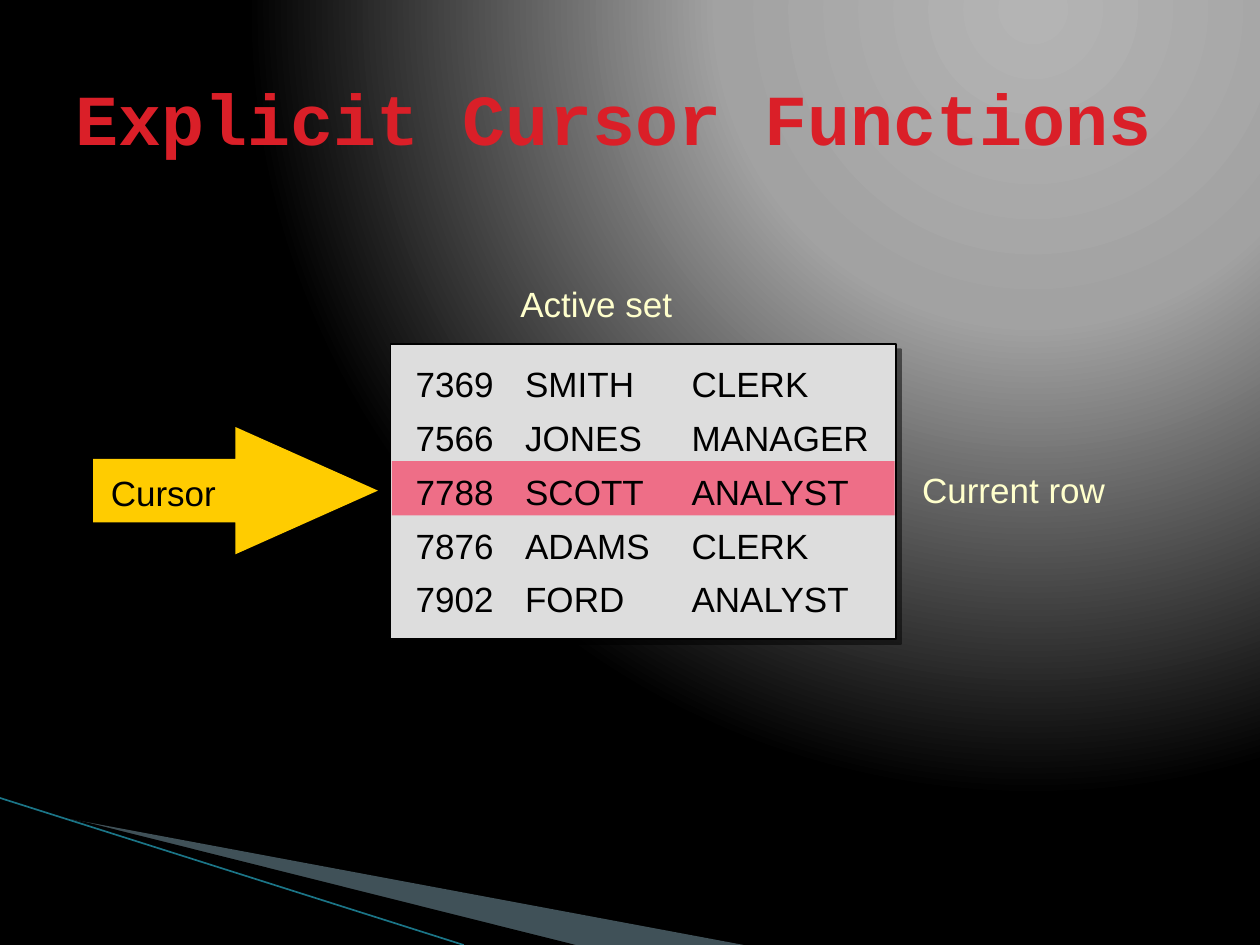
from dataclasses import dataclass

from lxml.etree import SubElement
from pptx import Presentation
from pptx.dml.color import RGBColor
from pptx.enum.shapes import MSO_CONNECTOR, MSO_SHAPE
from pptx.enum.text import MSO_ANCHOR, MSO_AUTO_SIZE, PP_ALIGN
from pptx.oxml import parse_xml
from pptx.oxml.ns import nsdecls, qn
from pptx.util import Pt

BLACK = RGBColor(0x00, 0x00, 0x00)
RED = RGBColor(0xDA, 0x1F, 0x28)
CREAM = RGBColor(0xFF, 0xFF, 0xCC)
GRAY = RGBColor(0xDD, 0xDD, 0xDD)
YELLOW = RGBColor(0xFF, 0xCC, 0x00)
CRIMSON = RGBColor(0xFF, 0x00, 0x33)
PALE_BLUE = RGBColor(0xA0, 0xCB, 0xDC)
TEAL = RGBColor(0x1B, 0x75, 0x87)

GRADIENT = ((0, "B4B4B4"), (40, "A2A2A2"), (100, "000000"))
ROWS = (
    ("7369", "SMITH", "CLERK"),
    ("7566", "JONES", "MANAGER"),
    ("7788", "SCOTT", "ANALYST"),
    ("7876", "ADAMS", "CLERK"),
    ("7902", "FORD", "ANALYST"),
)


@dataclass(frozen=True)
class Box:
    left: float
    top: float
    width: float
    height: float

    def emu(self) -> tuple:
        return Pt(self.left), Pt(self.top), Pt(self.width), Pt(self.height)


@dataclass(frozen=True)
class Label:
    box: Box
    lines: tuple
    color: RGBColor
    tabs: tuple = ()


ACTIVE_SET = Label(Box(290.2, 159.8, 147.6, 30.2), ("Active set",), CREAM)
CURRENT_ROW = Label(Box(519.8, 265.7, 147.6, 30.2), ("Current row",), CREAM)
CURSOR = Label(Box(56.2, 267.8, 85.7, 30.2), ("Cursor",), BLACK)
ROW_LIST = Label(Box(230.4, 205.2, 375, 154.8),
                 tuple("\t".join(row) for row in ROWS), BLACK, (62.6, 157.7))


def set_background(slide) -> None:
    slide.background.fill.gradient()
    grad = slide.background._cSld.find(".//" + qn("a:gradFill"))
    stops = "".join(
        f'<a:gs pos="{pos * 1000}"><a:srgbClr val="{color}"/></a:gs>'
        for pos, color in GRADIENT)
    grad.getparent().replace(grad, parse_xml(
        f'<a:gradFill {nsdecls("a")} rotWithShape="1"><a:gsLst>{stops}</a:gsLst>'
        '<a:path path="circle"><a:fillToRect l="65000" t="0" r="0" b="98000"/>'
        '</a:path></a:gradFill>'))


def set_fill(shape, color: RGBColor, alpha: int = 100) -> None:
    """Fill without outline or shadow; alpha is opacity in percent."""
    shape.shadow.inherit = False
    shape.line.fill.background()
    shape.fill.solid()
    shape.fill.fore_color.rgb = color
    if alpha < 100:
        clr = shape._element.spPr.find(".//" + qn("a:srgbClr"))
        SubElement(clr, qn("a:alpha"), val=str(alpha * 1000))


def add_drop_shadow(shape) -> None:
    effects = shape._element.spPr.find(qn("a:effectLst"))
    effects.append(parse_xml(
        f'<a:outerShdw {nsdecls("a")} dist="{Pt(4.2)}" dir="2700000" algn="ctr" '
        'rotWithShape="0"><a:srgbClr val="000000"><a:alpha val="50000"/>'
        '</a:srgbClr></a:outerShdw>'))


def add_shape(shapes, kind: MSO_SHAPE, box: Box, color: RGBColor, alpha: int = 100):
    s = shapes.add_shape(kind, *box.emu())
    set_fill(s, color, alpha)
    return s


def add_wedge(shapes, points: tuple, color: RGBColor, alpha: int = 100) -> None:
    builder = shapes.build_freeform(*points[0], scale=Pt(1))
    builder.add_line_segments(points[1:], close=True)
    set_fill(builder.convert_to_shape(), color, alpha)


def add_label(shapes, label: Label) -> None:
    tf = shapes.add_textbox(*label.box.emu()).text_frame
    tf.word_wrap = True
    for i, line in enumerate(label.lines):
        p = tf.add_paragraph() if i else tf.paragraphs[0]
        p.line_spacing = 0.95
        if i:
            p.space_before = Pt(8)
        if label.tabs:
            tab_list = SubElement(p._p.get_or_add_pPr(), qn("a:tabLst"))
            for pos in label.tabs:
                SubElement(tab_list, qn("a:tab"), pos=str(Pt(pos)), algn="l")
        r = p.add_run()
        r.text = line
        r.font.name = "Arial"
        r.font.size = Pt(20)
        r.font.color.rgb = label.color


def add_title(slide, text: str, box: Box) -> None:
    title = slide.shapes.title
    title.left, title.top, title.width, title.height = box.emu()
    tf = title.text_frame
    tf.auto_size = MSO_AUTO_SIZE.NONE
    tf.vertical_anchor = MSO_ANCHOR.MIDDLE
    p = tf.paragraphs[0]
    p.alignment = PP_ALIGN.LEFT
    r = p.add_run()
    r.text = text
    r.font.name = "Courier New"
    r.font.size = Pt(41)
    r.font.bold = True
    r.font.color.rgb = RED


def add_corner_decoration(shapes) -> None:
    add_wedge(shapes, ((39.6, 468), (425, 540), (328.3, 540)), PALE_BLUE, 40)
    add_wedge(shapes, ((38.2, 467.3), (329, 540), (267.8, 540)), BLACK)
    line = shapes.add_connector(MSO_CONNECTOR.STRAIGHT, 0, Pt(456), Pt(265), Pt(540))
    line.line.color.rgb = TEAL
    line.line.width = Pt(0.95)
    SubElement(line._element.spPr, qn("a:effectLst"))


def add_cursor_arrow(shapes) -> None:
    group = shapes.add_group_shape().shapes
    arrow = add_shape(group, MSO_SHAPE.RIGHT_ARROW,
                      Box(53.3, 244, 162.7, 72.7), YELLOW)
    arrow.adjustments[0] = 0.5
    arrow.adjustments[1] = 1.12
    add_drop_shadow(arrow)
    add_label(group, CURSOR)


def main() -> None:
    prs = Presentation()
    prs.slide_width, prs.slide_height = Pt(720), Pt(540)
    slide = prs.slides.add_slide(prs.slide_layouts[5])
    shapes = slide.shapes
    set_background(slide)
    add_corner_decoration(shapes)

    panel = add_shape(shapes, MSO_SHAPE.RECTANGLE, Box(223.2, 196.6, 288.7, 168.5), GRAY)
    panel.line.color.rgb = BLACK
    panel.line.width = Pt(1)
    add_drop_shadow(panel)

    add_title(slide, "Explicit Cursor Functions", Box(36, 21.6, 648, 90))
    add_label(shapes, ACTIVE_SET)
    add_label(shapes, CURRENT_ROW)
    add_cursor_arrow(shapes)
    add_shape(shapes, MSO_SHAPE.RECTANGLE, Box(223.9, 263.5, 287.3, 31), CRIMSON, 50)
    add_label(shapes, ROW_LIST)
    prs.save("out.pptx")


if __name__ == "__main__":
    main()
